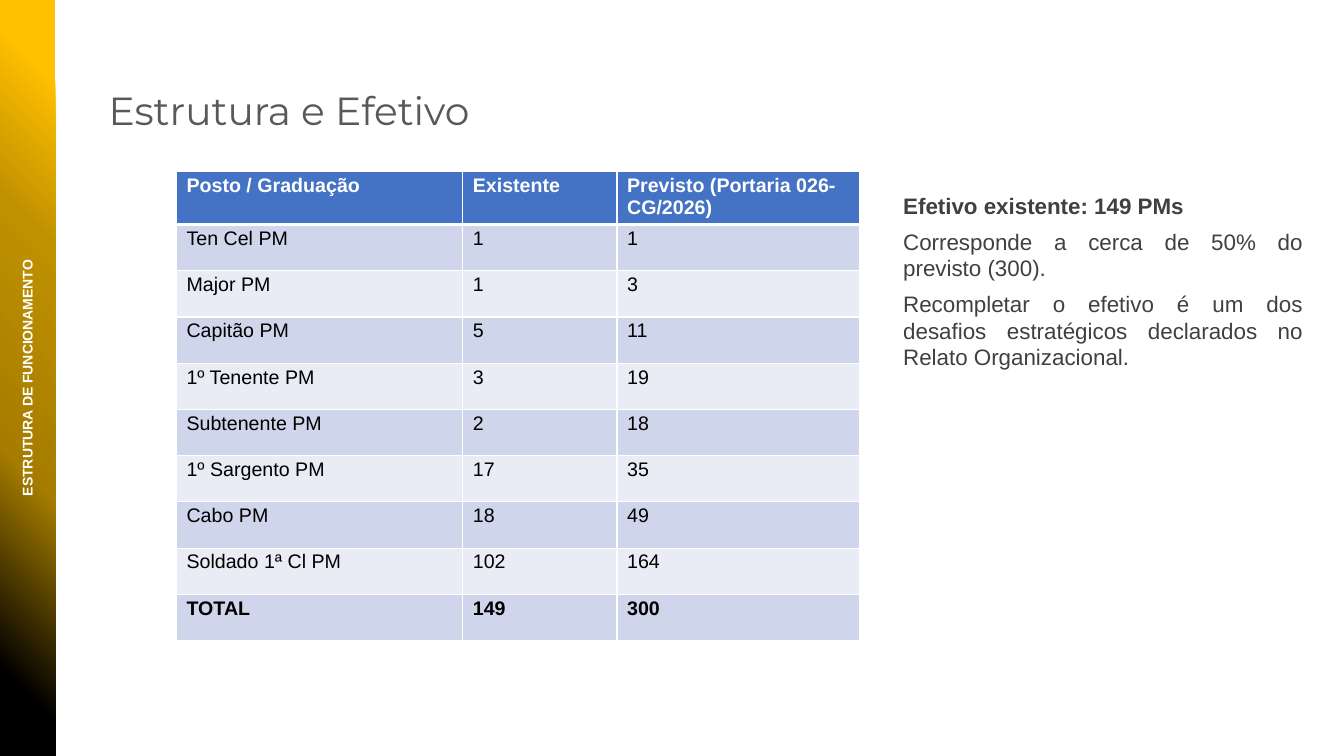
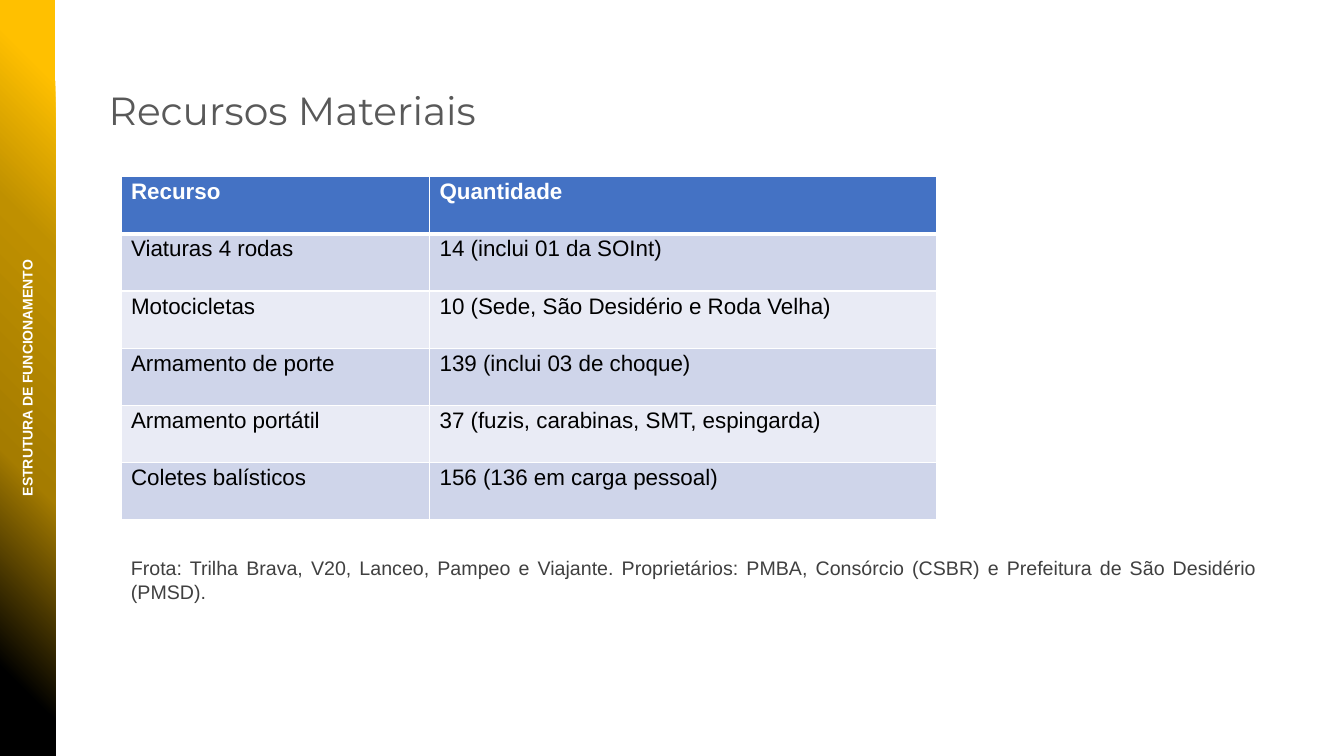
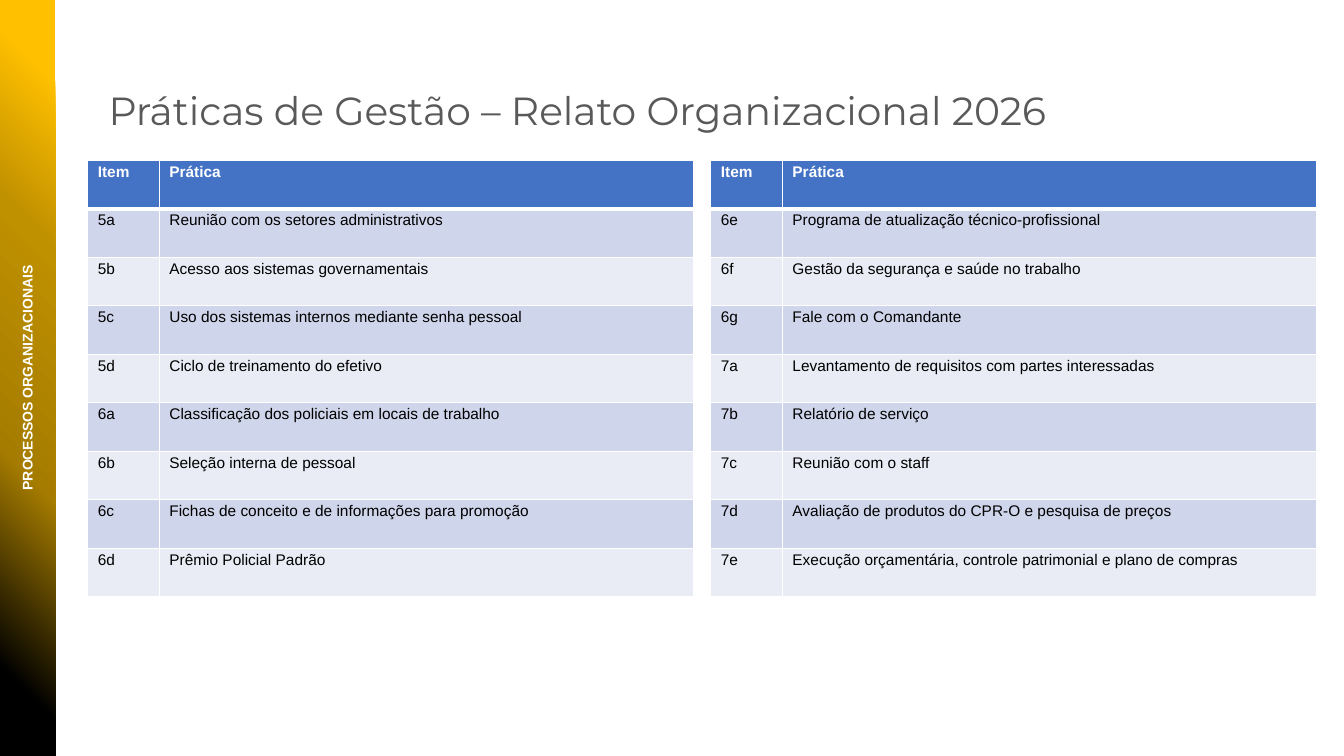
from pptx import Presentation
from pptx.dml.color import RGBColor
from pptx.enum.shapes import MSO_SHAPE
from pptx.enum.text import MSO_AUTO_SIZE, PP_ALIGN
from pptx.oxml import parse_xml
from pptx.oxml.ns import nsdecls
from pptx.util import Inches, Pt

WHITE = RGBColor(0xFF, 0xFF, 0xFF)
BLACK = RGBColor(0x00, 0x00, 0x00)
TITLE_GRAY = RGBColor(0x59, 0x59, 0x59)
BODY_GRAY = RGBColor(0x40, 0x40, 0x40)
HEADER_BLUE = RGBColor(0x44, 0x72, 0xC4)
ROW_FILLS = (RGBColor(0xCF, 0xD5, 0xEA), RGBColor(0xE9, 0xEB, 0xF5))
GOLD = RGBColor(0xFF, 0xC0, 0x00)
BAND_STOPS = (
    (0, BLACK),
    (11, BLACK),
    (38, RGBColor(0xA5, 0x7C, 0x00)),
    (69, RGBColor(0xBF, 0x90, 0x00)),
    (90, GOLD),
    (100, GOLD),
)
TITLE_FONT = "Montserrat"
BODY_FONT = "Arial"


def set_font(paragraph, size, color, bold=False, name=BODY_FONT):
    font = paragraph.font
    font.name, font.size, font.bold = name, Pt(size), bold
    font.color.rgb = color


def radial_gradient(stops):
    """Return a gradient spreading from the bottom left corner."""
    stop_xml = "".join(
        f'<a:gs pos="{position * 1000}"><a:srgbClr val="{color}"/></a:gs>'
        for position, color in stops
    )
    return parse_xml(
        f'<a:gradFill {nsdecls("a")} rotWithShape="1"><a:gsLst>{stop_xml}</a:gsLst>'
        '<a:path path="circle"><a:fillToRect t="100000" r="100000"/></a:path>'
        "</a:gradFill>"
    )


def set_borders(cell, bottom_width):
    properties = cell._tc.get_or_add_tcPr()
    for side, width in (("L", 1), ("R", 1), ("T", 1), ("B", bottom_width)):
        properties.append(parse_xml(
            f'<a:ln{side} {nsdecls("a")} w="{Pt(width)}"><a:solidFill>'
            f'<a:srgbClr val="{WHITE}"/></a:solidFill></a:ln{side}>'
        ))


class Deck:
    def __init__(self):
        self.presentation = Presentation()
        self.presentation.slide_width = Inches(13.33)
        self.presentation.slide_height = Inches(7.5)
        self.slide = None

    def add_slide(self, title, section):
        self.slide = self.presentation.slides.add_slide(
            self.presentation.slide_layouts[6])
        self.band()
        self.text(0.98, 0.81, 12.21, 0.57, [title], 28, TITLE_GRAY, name=TITLE_FONT)
        label = self.text(-2.66, 3.61, 5.87, 0.28, [section], 10, WHITE,
                          alignment=PP_ALIGN.CENTER, bold_first=True)
        label.rotation = 270

    def band(self):
        band = self.slide.shapes.add_shape(
            MSO_SHAPE.RECTANGLE, 0, 0, Inches(0.55), Inches(7.5))
        band.shadow.inherit = False
        band.line.fill.background()
        geometry = band._element.spPr.prstGeom
        geometry.addnext(radial_gradient(BAND_STOPS))

    def text(self, left, top, width, height, lines, size, color, name=BODY_FONT,
             alignment=PP_ALIGN.LEFT, bold_first=False, space_after=0):
        box = self.slide.shapes.add_textbox(
            Inches(left), Inches(top), Inches(width), Inches(height))
        frame = box.text_frame
        frame.word_wrap = True
        frame.auto_size = MSO_AUTO_SIZE.SHAPE_TO_FIT_TEXT
        for index, line in enumerate(lines):
            paragraph = frame.add_paragraph() if index else frame.paragraphs[0]
            paragraph.text = line
            paragraph.alignment = alignment
            paragraph.space_after = Pt(space_after)
            set_font(paragraph, size, color, bold_first and index == 0, name)
        return box

    def body(self, left, top, width, height, lines, size, bold_first=False):
        self.text(left, top, width, height, lines, size, BODY_GRAY,
                  alignment=PP_ALIGN.JUSTIFY, bold_first=bold_first, space_after=6)

    def table(self, left, top, column_widths, height, rows, size, total_row=False):
        table = self.slide.shapes.add_table(
            len(rows), len(column_widths), Inches(left), Inches(top),
            Inches(sum(column_widths)), Inches(height)).table
        for column, width in zip(table.columns, column_widths):
            column.width = Inches(width)
        for row_index, values in enumerate(rows):
            is_header = row_index == 0
            is_total = total_row and row_index == len(rows) - 1
            for column_index, value in enumerate(values):
                cell = table.cell(row_index, column_index)
                cell.margin_left = cell.margin_right = Inches(0.1)
                cell.margin_top = cell.margin_bottom = Inches(0.03)
                set_borders(cell, 3 if is_header else 1)
                cell.fill.solid()
                cell.fill.fore_color.rgb = (
                    HEADER_BLUE if is_header else ROW_FILLS[(row_index - 1) % 2])
                cell.text = value
                set_font(cell.text_frame.paragraphs[0], size,
                         WHITE if is_header else BLACK, is_header or is_total)


STAFF = [
    ("Posto / Graduação", "Existente", "Previsto (Portaria 026-CG/2026)"),
    ("Ten Cel PM", "1", "1"),
    ("Major PM", "1", "3"),
    ("Capitão PM", "5", "11"),
    ("1º Tenente PM", "3", "19"),
    ("Subtenente PM", "2", "18"),
    ("1º Sargento PM", "17", "35"),
    ("Cabo PM", "18", "49"),
    ("Soldado 1ª Cl PM", "102", "164"),
    ("TOTAL", "149", "300"),
]
RESOURCES = [
    ("Recurso", "Quantidade"),
    ("Viaturas 4 rodas", "14 (inclui 01 da SOInt)"),
    ("Motocicletas", "10 (Sede, São Desidério e Roda Velha)"),
    ("Armamento de porte", "139 (inclui 03 de choque)"),
    ("Armamento portátil", "37 (fuzis, carabinas, SMT, espingarda)"),
    ("Coletes balísticos", "156 (136 em carga pessoal)"),
]
PRACTICE_HEADER = ("Item", "Prática")
PRACTICES = [
    ("5a", "Reunião com os setores administrativos"),
    ("5b", "Acesso aos sistemas governamentais"),
    ("5c", "Uso dos sistemas internos mediante senha pessoal"),
    ("5d", "Ciclo de treinamento do efetivo"),
    ("6a", "Classificação dos policiais em locais de trabalho"),
    ("6b", "Seleção interna de pessoal"),
    ("6c", "Fichas de conceito e de informações para promoção"),
    ("6d", "Prêmio Policial Padrão"),
    ("6e", "Programa de atualização técnico-profissional"),
    ("6f", "Gestão da segurança e saúde no trabalho"),
    ("6g", "Fale com o Comandante"),
    ("7a", "Levantamento de requisitos com partes interessadas"),
    ("7b", "Relatório de serviço"),
    ("7c", "Reunião com o staff"),
    ("7d", "Avaliação de produtos do CPR-O e pesquisa de preços"),
    ("7e", "Execução orçamentária, controle patrimonial e plano de compras"),
]


def main():
    deck = Deck()

    deck.add_slide("Estrutura e Efetivo", "ESTRUTURA DE FUNCIONAMENTO")
    deck.table(1.75, 1.7, (2.84, 1.53, 2.41), 4.59, STAFF, 14, total_row=True)
    deck.body(8.86, 1.86, 4.16, 3.28, [
        "Efetivo existente: 149 PMs",
        "Corresponde a cerca de 50% do previsto (300).",
        "Recompletar o efetivo é um dos desafios estratégicos declarados no "
        "Relato Organizacional.",
    ], 16, bold_first=True)

    deck.add_slide("Recursos Materiais", "ESTRUTURA DE FUNCIONAMENTO")
    deck.table(1.2, 1.75, (3.06, 5.03), 3.41, RESOURCES, 16)
    deck.body(1.2, 5.47, 11.37, 1.09, [
        "Frota: Trilha Brava, V20, Lanceo, Pampeo e Viajante. Proprietários: PMBA, "
        "Consórcio (CSBR) e Prefeitura de São Desidério (PMSD).",
    ], 14)

    deck.add_slide("Práticas de Gestão – Relato Organizacional 2026",
                   "PROCESSOS ORGANIZACIONAIS")
    half = len(PRACTICES) // 2
    for left, practices in ((0.87, PRACTICES[:half]), (7.05, PRACTICES[half:])):
        deck.table(left, 1.59, (0.71, 5.3), 4.33, [PRACTICE_HEADER, *practices], 11)

    deck.presentation.save("out.pptx")


if __name__ == "__main__":
    main()
